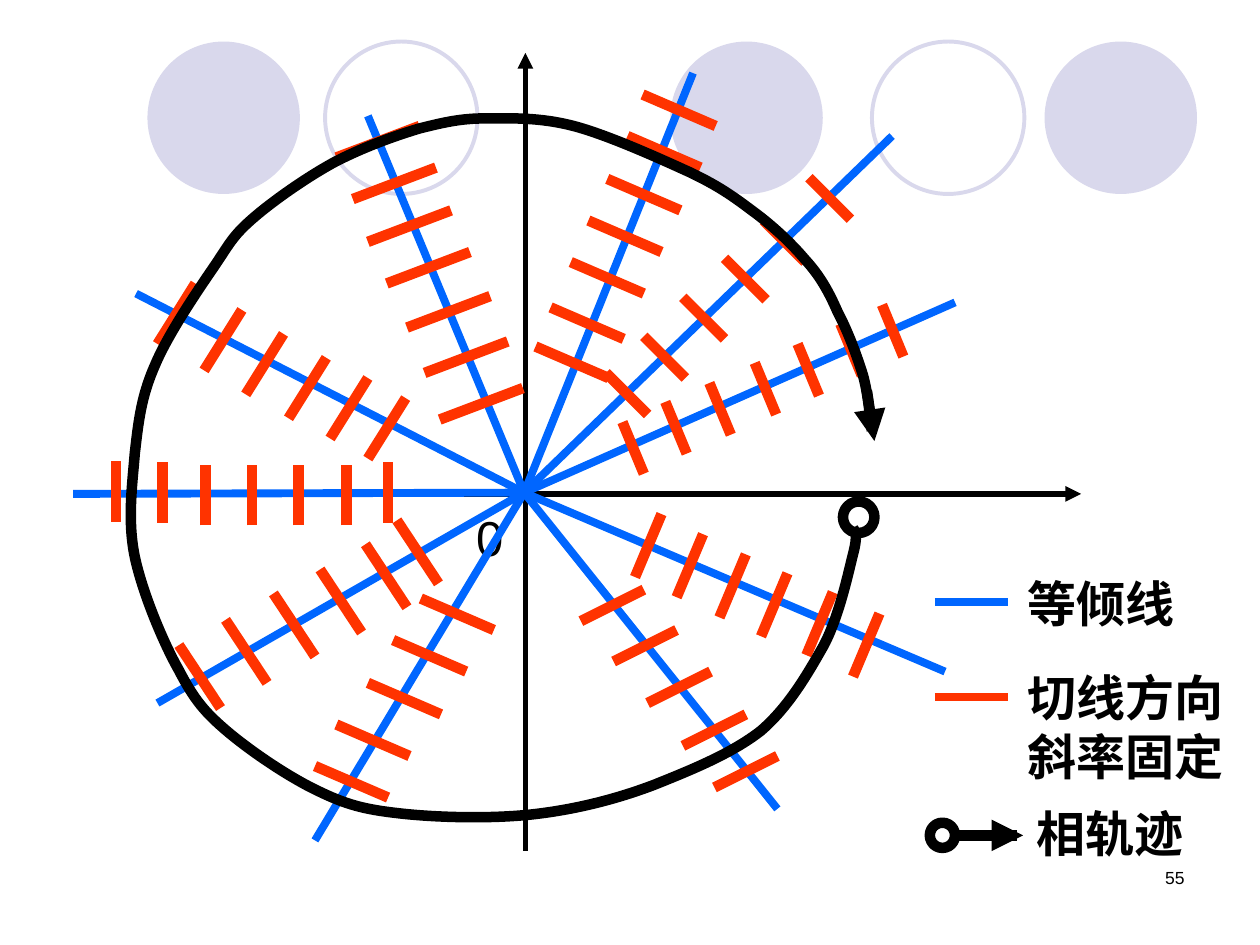
from lxml import etree
from pptx import Presentation
from pptx import util as u
from pptx.dml.color import RGBColor
from pptx.enum import shapes, text
from pptx.oxml import ns

BLACK = RGBColor(0x00, 0x00, 0x00)
WHITE = RGBColor(0xFF, 0xFF, 0xFF)
LILAC = RGBColor(0xD9, 0xD8, 0xEC)
BLUE = RGBColor(0x00, 0x66, 0xFF)
RED = RGBColor(0xFF, 0x33, 0x00)

# The grid has square cells: 10 columns by 7.5 rows
COLUMNS, ROWS = 10, 7.5
ORIGIN = (4.16, 3.91)

CIRCLES = [(5.32, True), (8.29, True), (1.17, True), (6.92, False), (2.58, False)]

ISOCLINE_ENDS = [
    (7.58, 2.4), (7.08, 1.08), (5.5, 0.58), (2.92, 0.92), (1.08, 2.33),
    (7.5, 5.33), (6.17, 6.42), (2.5, 6.67), (1.25, 5.58), (0.58, 3.92),
]

# Each isocline: the common step along its tangent marks, then their starts
TANGENT_MARKS = [
    ((0.17, 0.41), [(7, 2.42), (6.67, 2.57), (6.33, 2.73), (5.99, 2.88),
                    (5.63, 3.04), (5.28, 3.19), (4.94, 3.35)]),
    ((0.33, 0.33), [(6.42, 1.41), (6.06, 1.75), (5.75, 2.05), (5.42, 2.36),
                    (5.11, 2.67), (4.81, 2.96)]),
    ((0.58, 0.25), [(5.1, 0.75), (4.98, 1.08), (4.82, 1.42), (4.67, 1.75),
                    (4.53, 2.08), (4.37, 2.44), (4.25, 2.75)]),
    ((0.66, -0.25), [(2.67, 1.25), (2.8, 1.58), (2.92, 1.92), (3.07, 2.25),
                     (3.23, 2.6), (3.37, 2.96), (3.49, 3.33)]),
    ((0.3, -0.48), [(1.25, 2.73), (1.62, 2.94), (1.95, 3.13), (2.29, 3.32),
                    (2.62, 3.48), (2.92, 3.64)]),
    ((0, -0.48), [(0.92, 4.14), (1.29, 4.15), (1.63, 4.17), (2, 4.17),
                  (2.37, 4.17), (2.75, 4.17), (3.08, 4.15)]),
    ((-0.33, -0.5), [(1.75, 5.62), (2.12, 5.42), (2.5, 5.21), (2.87, 5.02),
                     (3.23, 4.82), (3.48, 4.63)]),
    ((-0.58, -0.25), [(3.08, 6.33), (3.25, 6), (3.5, 5.67), (3.7, 5.33), (3.92, 5)]),
    ((-0.5, 0.25), [(6.17, 6), (5.92, 5.67), (5.64, 5.33), (5.37, 5), (5.11, 4.68)]),
    ((-0.21, 0.5), [(5.25, 4.08), (5.58, 4.24), (5.92, 4.4), (6.25, 4.55),
                    (6.61, 4.7), (6.98, 4.87)]),
]

# Start point, then two control points and an end point for each curve
TRAJECTORY = [
    (6.92, 3.42),
    (6.9, 3.27), (6.89, 3.13), (6.85, 2.98), (6.8, 2.82), (6.73, 2.63), (6.65, 2.48),
    (6.58, 2.32), (6.51, 2.19), (6.39, 2.06), (6.28, 1.93), (6.13, 1.79), (5.98, 1.68),
    (5.82, 1.56), (5.71, 1.48), (5.48, 1.37), (5.24, 1.26), (4.82, 1.07), (4.55, 1),
    (4.28, 0.93), (4.06, 0.94), (3.86, 0.94), (3.66, 0.94), (3.53, 0.97), (3.33, 1.02),
    (3.13, 1.08), (2.88, 1.17), (2.65, 1.29), (2.43, 1.41), (2.16, 1.6), (2, 1.74),
    (1.84, 1.88), (1.82, 1.94), (1.69, 2.13), (1.56, 2.32), (1.33, 2.66), (1.23, 2.9),
    (1.12, 3.15), (1.1, 3.34), (1.07, 3.6), (1.05, 3.85), (1.01, 4.13), (1.07, 4.42),
    (1.13, 4.7), (1.29, 5.09), (1.42, 5.32), (1.54, 5.55), (1.62, 5.65), (1.81, 5.81),
    (2, 5.97), (2.31, 6.18), (2.55, 6.29), (2.78, 6.4), (2.93, 6.43), (3.21, 6.46),
    (3.5, 6.49), (3.93, 6.5), (4.26, 6.46), (4.59, 6.42), (4.9, 6.34), (5.19, 6.23),
    (5.49, 6.11), (5.81, 5.98), (6.04, 5.8), (6.26, 5.61), (6.41, 5.35), (6.54, 5.12),
    (6.66, 4.89), (6.73, 4.56), (6.77, 4.4), (6.81, 4.25), (6.79, 4.22), (6.77, 4.19),
]


def write_text(shape, lines, size=28, bold=False, align=text.PP_ALIGN.LEFT, wrap=False):
    frame = shape.text_frame
    frame.word_wrap = wrap
    if not wrap:
        frame.auto_size = text.MSO_AUTO_SIZE.SHAPE_TO_FIT_TEXT
    frame.text = "\n".join(lines)
    for paragraph in frame.paragraphs:
        paragraph.alignment = align
        paragraph.font.name = "Arial"
        paragraph.font.size = u.Pt(size)
        paragraph.font.bold = bold
        paragraph.font.color.rgb = BLACK


class Canvas:
    def __init__(self, presentation):
        self.slide = presentation.slides.add_slide(presentation.slide_layouts[6])
        self.cell = presentation.slide_width / COLUMNS

    def place(self, *cells):
        return [u.Emu(round(value * self.cell)) for value in cells]

    def line(self, start, end, color, width, arrow=False):
        connector = self.slide.shapes.add_connector(
            shapes.MSO_CONNECTOR.STRAIGHT, *self.place(*start, *end))
        connector.line.color.rgb = color
        connector.line.width = u.Pt(width)
        if arrow:
            etree.SubElement(connector.line._get_or_add_ln(),
                             ns.qn("a:tailEnd"), type="triangle")
        etree.SubElement(connector._element.spPr, ns.qn("a:effectLst"))

    def circle(self, left, top, size, fill=None, color=None, width=0):
        shape = self.slide.shapes.add_shape(
            shapes.MSO_SHAPE.OVAL, *self.place(left, top, size, size))
        self.style(shape, fill, color, width)

    def style(self, shape, fill, color, width):
        shape.shadow.inherit = False
        if fill is None:
            shape.fill.background()
        else:
            shape.fill.solid()
            shape.fill.fore_color.rgb = fill
        if color is None:
            shape.line.fill.background()
        else:
            shape.line.color.rgb = color
            shape.line.width = u.Pt(width)

    def label(self, left, top, width, height, *lines, fill=None, **text_format):
        box = self.slide.shapes.add_textbox(*self.place(left, top, width, height))
        if fill is not None:
            box.fill.solid()
            box.fill.fore_color.rgb = fill
        write_text(box, lines, **text_format)

    def curve(self, points, color, width):
        start, *rest = [self.place(*point) for point in points]
        builder = self.slide.shapes.build_freeform(*start)
        builder.add_line_segments(rest, close=False)
        shape = builder.convert_to_shape()
        self.style(shape, None, color, width)
        # Turn every three straight segments into one cubic curve
        segments = list(shape._element.iter(ns.qn("a:lnTo")))
        for first in range(0, len(segments), 3):
            trio = segments[first:first + 3]
            cubic = etree.SubElement(trio[0].getparent(), ns.qn("a:cubicBezTo"))
            for segment in trio:
                cubic.append(segment[0])
                segment.getparent().remove(segment)


def main():
    presentation = Presentation()
    presentation.slide_width = u.Inches(COLUMNS)
    presentation.slide_height = u.Inches(ROWS)
    canvas = Canvas(presentation)

    # Background circles and slide number
    for left, filled in CIRCLES:
        canvas.circle(left, 0.33, 1.21, fill=LILAC if filled else None,
                      color=None if filled else LILAC, width=2.25)
    canvas.label(7.17, 6.83, 2.33, 0.5, "55", size=10,
                 align=text.PP_ALIGN.RIGHT, wrap=True)

    # Axes
    canvas.line((0.58, 3.92), (8.58, 3.92), BLACK, 3, arrow=True)
    canvas.line((4.17, 6.75), (4.17, 0.42), BLACK, 3, arrow=True)
    canvas.label(3.68, 3.98, 0.42, 0.57, "0", fill=WHITE)

    # Isoclines and their tangent marks
    for end in ISOCLINE_ENDS:
        canvas.line(ORIGIN, end, BLUE, 4.5)
    for (across, down), starts in TANGENT_MARKS:
        for x, y in starts:
            canvas.line((x, y), (x + across, y + down), RED, 6)

    # Legend for the lines
    canvas.line((7.42, 4.78), (8, 4.78), BLUE, 4.5)
    canvas.label(8.06, 4.5, 1.37, 0.57, "等倾线", bold=True)
    canvas.line((7.42, 5.53), (8, 5.53), RED, 4.5)
    canvas.label(8.06, 5.25, 1.76, 1.03, "切线方向", "斜率固定", bold=True)

    # Phase trajectory
    canvas.circle(6.69, 3.98, 0.25, fill=WHITE, color=BLACK, width=6)
    canvas.curve(TRAJECTORY, BLACK, 6)
    canvas.line((6.88, 3.1), (6.94, 3.5), BLACK, 6, arrow=True)

    # Legend for the trajectory
    canvas.line((7.48, 6.63), (8.07, 6.63), BLACK, 6)
    canvas.circle(7.38, 6.53, 0.2, fill=WHITE, color=BLACK, width=6)
    canvas.line((7.78, 6.63), (8.12, 6.63), BLACK, 6, arrow=True)
    canvas.label(8.13, 6.33, 1.37, 0.57, "相轨迹", bold=True)

    presentation.save("out.pptx")


if __name__ == "__main__":
    main()
